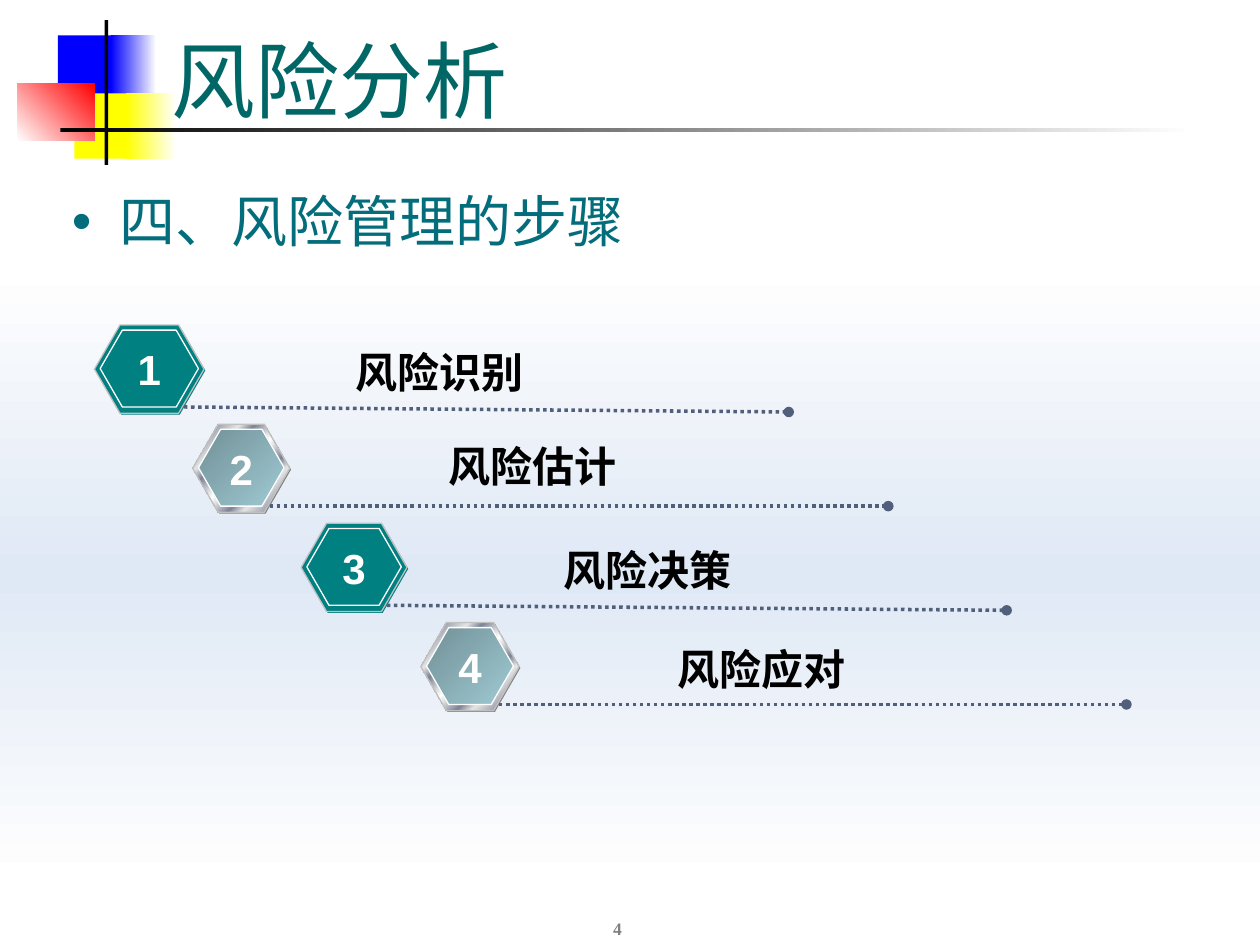
from lxml import etree
from pptx import Presentation
from pptx.dml.color import RGBColor
from pptx.enum.dml import MSO_LINE
from pptx.enum.shapes import MSO_CONNECTOR, MSO_SHAPE
from pptx.enum.text import MSO_ANCHOR, MSO_AUTO_SIZE, PP_ALIGN
from pptx.oxml.ns import qn
from pptx.util import Inches, Pt

RECT, HEXAGON = MSO_SHAPE.RECTANGLE, MSO_SHAPE.HEXAGON
STRAIGHT, DOTTED = MSO_CONNECTOR.STRAIGHT, MSO_LINE.ROUND_DOT
LEFT, CENTER = PP_ALIGN.LEFT, PP_ALIGN.CENTER
TOP, BOTTOM = MSO_ANCHOR.TOP, MSO_ANCHOR.BOTTOM
NO_FIT = MSO_AUTO_SIZE.NONE
SERIF, SANS, CJK = "Times New Roman", "Arial", "Noto Sans CJK SC"

TEAL = "008080"
METAL = ([(0, "E6E6E6"), (8, "7D8496"), (26, "E6E6E6"), (34, "7D8496"),
          (46, "E6E6E6"), (50, "FFFFFF"), (54, "E6E6E6"), (66, "7D8496"),
          (74, "E6E6E6"), (92, "7D8496"), (100, "E6E6E6")], 45)
GLASS = ([(0, "729097"), (100, "9FCAD3")], 45)
TEAL_STYLE = (TEAL, TEAL, TEAL)
METAL_STYLE = ("808080", METAL, GLASS)

EMBLEM = [
    (0.46, 0.28, 0.48, 0.52, "0000FF"),
    (0.88, 0.28, 0.36, 0.52, ([(0, "0000FF"), (100, "FFFFFF")], 0)),
    (0.59, 0.74, 0.46, 0.52, "FFFF00"),
    (1, 0.74, 0.4, 0.52, ([(0, "FFFF00"), (100, "FFFFFF")], 0)),
    (0.14, 0.66, 0.61, 0.46, ([(0, "FFFFFF"), (100, "FF0000")], 315)),
    (0.83, 0.16, 0.03, 1.15, "000000"),
    (0.48, 1.02, 9, 0.03, ([(0, "000000"), (100, "FFFFFF")], 0)),
]
BAND = ([(0, "FFFFFF"), (50, "DFE8F5"), (100, "FFFFFF")], 90)
STEPS = [
    ("风险识别", 0.75, 0.87, 2.72, 2.7, 6.26, 0.04, TEAL_STYLE),
    ("风险估计", 1.53, 0.77, 3.46, 3.45, 7.05, 0, METAL_STYLE),
    ("风险决策", 2.39, 0.84, 4.37, 4.27, 7.99, 0.04, TEAL_STYLE),
    ("风险应对", 3.34, 0.78, 5.28, 5.06, 8.94, 0, METAL_STYLE),
]
STEP_TOP, STEP_PITCH = 2.58, 0.787


def rgb(color):
    """Turn a hex string into a colour."""
    return RGBColor.from_string(color)


def paint(sp, fill):
    """Fill a shape with a hex colour or with (stops, clockwise angle)."""
    if isinstance(fill, str):
        sp.fill.solid()
        sp.fill.fore_color.rgb = rgb(fill)
        return
    stops, angle = fill
    sp.fill.gradient()
    sp.fill.gradient_angle = -angle % 360
    gs_list = sp._element.spPr.find(".//" + qn("a:gsLst"))
    for gs in list(gs_list):
        gs_list.remove(gs)
    for pos, color in stops:
        gs = etree.SubElement(gs_list, qn("a:gs"), pos=str(pos * 1000))
        etree.SubElement(gs, qn("a:srgbClr"), val=color)


def add_shape(shapes, kind, left, top, width, height, fill, line=None):
    """Add a filled shape, outlined only when a line colour is given."""
    sp = shapes.add_shape(kind, Inches(left), Inches(top), Inches(width), Inches(height))
    sp.shadow.inherit = False
    paint(sp, fill)
    if line:
        sp.line.color.rgb = rgb(line)
        sp.line.width = Pt(0.75)
    else:
        sp.line.fill.background()
    return sp


def add_hexagon(shapes, left, top, width, height, fill, line=None):
    """Add a regular hexagon."""
    sp = add_shape(shapes, HEXAGON, left, top, width, height, fill, line)
    sp.adjustments[0] = 0.289
    sp.adjustments[1] = 1.155


def add_leader(shapes, x1, y1, x2, y2):
    """Add a dotted line that ends in a dot."""
    line = shapes.add_connector(STRAIGHT, Inches(x1), Inches(y1), Inches(x2), Inches(y2))
    line.line.color.rgb = rgb("515F7B")
    line.line.width = Pt(2)
    line.line.dash_style = DOTTED
    sp_pr = line._element.spPr
    etree.SubElement(sp_pr.find(qn("a:ln")), qn("a:tailEnd"), type="oval")
    etree.SubElement(sp_pr, qn("a:effectLst"))


def set_text(sp, text, size, font, color, bold=False, align=LEFT, anchor=TOP, wrap=True):
    """Write one formatted paragraph into a shape."""
    tf = sp.text_frame
    tf.text = text
    tf.auto_size = NO_FIT
    tf.word_wrap = wrap
    tf.vertical_anchor = anchor
    p = tf.paragraphs[0]
    p.alignment = align
    p.space_before = Pt(0)
    p.font.size = Pt(size)
    p.font.name = font
    p.font.bold = bold
    p.font.color.rgb = rgb(color)
    return p


def add_text(shapes, left, top, width, height, text, size, font, color, **style):
    """Add a bold text box."""
    sp = shapes.add_textbox(Inches(left), Inches(top), Inches(width), Inches(height))
    set_text(sp, text, size, font, color, bold=True, **style)


def place(sp, left, top, width, height):
    """Move and size a placeholder."""
    sp.left, sp.top = Inches(left), Inches(top)
    sp.width, sp.height = Inches(width), Inches(height)


def add_step(slide, index, step):
    """Add one numbered step with its badge, leader line and label."""
    label, left, width, label_left, label_top, line_end, drop, style = step
    shadow, rim, face = style
    top = STEP_TOP + index * STEP_PITCH
    shapes = slide.shapes.add_group_shape().shapes
    add_hexagon(shapes, left + 0.01, top + 0.01, width, 0.7, shadow)
    add_hexagon(shapes, left, top, width, 0.7, rim, "C0C0C0")
    add_hexagon(shapes, left + 0.045, top + 0.04, width - 0.09, 0.61, face, "FFFFFF")
    line_top = top + 0.65
    add_leader(shapes, left + width - 0.16, line_top, line_end, line_top + drop)
    add_text(shapes, label_left, label_top, 1.55, 0.51, label, 24, SERIF, "000000", wrap=False)
    add_text(shapes, left + width / 2 - 0.2, top + 0.1, 0.4, 0.5, str(index + 1),
             24, SANS, "FFFFFF", align=CENTER, wrap=False)


def main():
    """Build the slide and save it."""
    prs = Presentation()
    prs.slide_width, prs.slide_height = Inches(10), Inches(7.5)
    slide = prs.slides.add_slide(prs.slide_layouts[1])
    shapes = slide.shapes
    title, heading = shapes.title, slide.placeholders[1]

    for left, top, width, height, fill in EMBLEM:
        add_shape(shapes, RECT, left, top, width, height, fill)
    add_shape(shapes, RECT, 0, 2.11, 10, 4.89, BAND)

    for sp in (title, heading):
        shapes._spTree.append(sp._element)
    place(title, 1.26, 0.16, 8.52, 0.92)
    set_text(title, "风险分析", 48, SERIF, "006666", anchor=BOTTOM)
    place(heading, 0.47, 1.49, 6.93, 0.71)
    p_pr = heading.text_frame.paragraphs[0]._p.get_or_add_pPr()
    p_pr.set("marL", "0")
    p_pr.set("indent", "0")
    etree.SubElement(p_pr, qn("a:buNone"))
    p = set_text(heading, "四、风险管理的步骤", 32, CJK, "036D7B")
    p.line_spacing = 0.9

    for index, step in enumerate(STEPS):
        add_step(slide, index, step)
    add_text(shapes, 3.86, 7, 2.08, 0.5, "4", 10, SERIF, "808080", align=CENTER, anchor=BOTTOM)
    prs.save("out.pptx")


if __name__ == "__main__":
    main()
